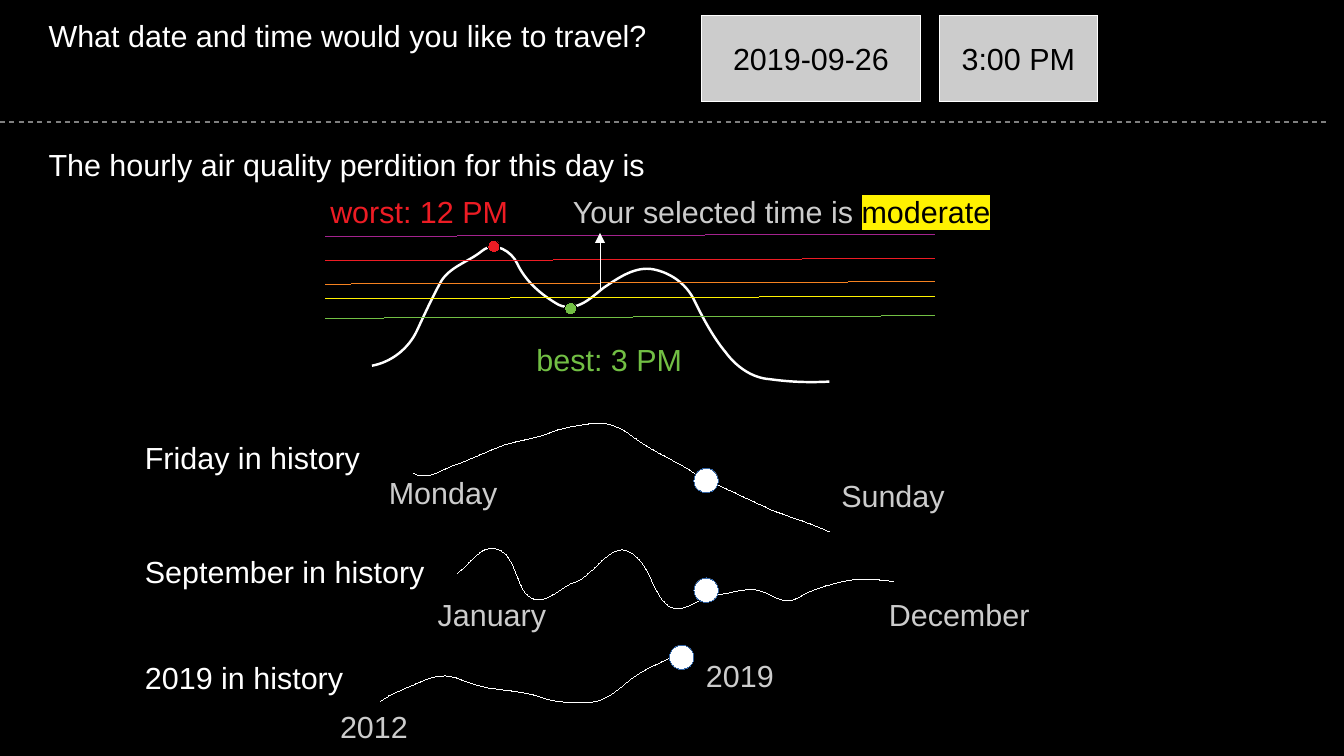
from dataclasses import dataclass

from lxml import etree
from pptx import Presentation
from pptx import util as u
from pptx.dml.color import RGBColor
from pptx.enum import shapes, text
from pptx.oxml.ns import qn


@dataclass(frozen=True)
class Theme:
    font: str = "Arial"
    size: float = 18
    hair: float = 0
    bold: float = 1.45
    black: str = "000000"
    white: str = "FFFFFF"
    pale: str = "CCCCCC"
    gray: str = "808080"
    blue: str = "3465A4"
    red: str = "ED1C24"
    orange: str = "F58220"
    yellow: str = "FFF200"
    green: str = "72BF44"
    purple: str = "A3238E"


class Sketch:
    def __init__(self, slide, theme):
        self.slide, self.theme = slide, theme
        self.items = slide.shapes
        slide.background.fill.solid()
        slide.background.fill.fore_color.rgb = RGBColor.from_string(theme.black)

    def stroke(self, item, color, width):
        item.line.color.rgb = RGBColor.from_string(color)
        # A zero width must be written out, or the style's width applies
        edge = item.line._get_or_add_ln()
        edge.set("w", str(u.Pt(width)))
        return edge

    def style(self, run, color):
        run.font.name = self.theme.font
        run.font.size = u.Pt(self.theme.size)
        run.font.color.rgb = RGBColor.from_string(color)

    def label(self, words, x, y, w, h, color):
        box = self.items.add_textbox(*map(u.Inches, (x, y, w, h)))
        frame = box.text_frame
        frame.text = words
        frame.word_wrap = True
        self.style(frame.paragraphs[0].runs[0], color)
        return frame.paragraphs[0]

    def mark(self, para, words, color, back):
        run = para.add_run()
        run.text = words
        self.style(run, color)
        glow = etree.Element(qn("a:highlight"))
        etree.SubElement(glow, qn("a:srgbClr"), val=back)
        run.font._element.find(qn("a:solidFill")).addnext(glow)

    def shape(self, kind, x, y, w, h, fill, edge):
        item = self.items.add_shape(kind, *map(u.Inches, (x, y, w, h)))
        item.shadow.inherit = False
        item.fill.solid()
        item.fill.fore_color.rgb = RGBColor.from_string(fill)
        self.stroke(item, edge, self.theme.hair)
        return item

    def dot(self, x, y, size, fill, edge):
        self.shape(shapes.MSO_SHAPE.OVAL, x, y, size, size, fill, edge)

    def field(self, words, x, w):
        item = self.shape(shapes.MSO_SHAPE.RECTANGLE, x, 0.13, w, 0.7,
                          self.theme.pale, self.theme.white)
        frame = item.text_frame
        frame.text = words
        frame.word_wrap = False
        frame.vertical_anchor = text.MSO_ANCHOR.MIDDLE
        frame.paragraphs[0].alignment = text.PP_ALIGN.CENTER
        self.style(frame.paragraphs[0].runs[0], self.theme.black)

    def line(self, x1, y1, x2, y2, color, width=0):
        item = self.items.add_connector(
            shapes.MSO_CONNECTOR.STRAIGHT, *map(u.Inches, (x1, y1, x2, y2)))
        edge = self.stroke(item, color, width)
        etree.SubElement(item._element.spPr, qn("a:effectLst"))
        return edge

    def arrow(self, x1, y1, x2, y2, color):
        edge = self.line(x1, y1, x2, y2, color)
        etree.SubElement(edge, qn("a:headEnd"), type="triangle")

    def dash(self, x1, y1, x2, y2, color, width):
        edge = self.line(x1, y1, x2, y2, color, width)
        gaps = etree.SubElement(edge, qn("a:custDash"))
        etree.SubElement(gaps, qn("a:ds"), d="200000", sp="180000")

    def curve(self, start, bends, width):
        """Each bend holds two control points and an end point."""
        pen = self.items.build_freeform(*map(u.Inches, start))
        pen.add_line_segments(
            [tuple(map(u.Inches, bend[4:])) for bend in bends], close=False)
        item = pen.convert_to_shape()
        item.shadow.inherit = False
        item.fill.background()
        self.stroke(item, self.theme.white, width)
        steps = list(item._element.iter(qn("a:lnTo")))
        for step, bend in zip(steps, bends):
            arc = etree.Element(qn("a:cubicBezTo"))
            for x, y in zip(bend[::2], bend[1::2]):
                etree.SubElement(arc, qn("a:pt"), x=str(u.Inches(x) - item.left),
                                 y=str(u.Inches(y) - item.top))
            step.getparent().replace(step, arc)


HOURLY = (3.05, 3), [
    (3.21, 2.97, 3.35, 2.86, 3.42, 2.71), (3.48, 2.58, 3.54, 2.45, 3.61, 2.32),
    (3.68, 2.19, 3.84, 2.15, 3.95, 2.06), (4.06, 1.97, 4.2, 2.07, 4.24, 2.16),
    (4.31, 2.31, 4.44, 2.42, 4.58, 2.5), (4.73, 2.57, 4.86, 2.43, 4.95, 2.36),
    (5.07, 2.28, 5.21, 2.18, 5.36, 2.21), (5.51, 2.24, 5.64, 2.34, 5.7, 2.48),
    (5.77, 2.62, 5.85, 2.77, 5.95, 2.89), (6.03, 3, 6.16, 3.1, 6.31, 3.11),
    (6.46, 3.13, 6.6, 3.14, 6.8, 3.13)]
WEEK = (3.39, 3.88), [
    (3.51, 3.95, 3.63, 3.84, 3.74, 3.81), (3.87, 3.76, 4, 3.7, 4.13, 3.65),
    (4.26, 3.61, 4.39, 3.6, 4.53, 3.54), (4.64, 3.5, 4.75, 3.49, 4.87, 3.47),
    (4.99, 3.46, 5.1, 3.51, 5.19, 3.58), (5.33, 3.69, 5.5, 3.76, 5.65, 3.85),
    (5.74, 3.92, 5.85, 3.96, 5.96, 4.01), (6.08, 4.07, 6.2, 4.12, 6.32, 4.18),
    (6.44, 4.23, 6.57, 4.26, 6.8, 4.36)]
YEAR = (3.75, 4.7), [
    (3.85, 4.63, 3.94, 4.47, 4.06, 4.5), (4.21, 4.53, 4.22, 4.73, 4.3, 4.85),
    (4.43, 5.03, 4.59, 4.81, 4.7, 4.78), (4.87, 4.73, 5, 4.43, 5.17, 4.53),
    (5.33, 4.62, 5.34, 4.84, 5.47, 4.96), (5.59, 5.06, 5.74, 4.89, 5.87, 4.88),
    (5.99, 4.87, 6.1, 4.82, 6.21, 4.84), (6.33, 4.86, 6.42, 4.98, 6.55, 4.9),
    (6.66, 4.83, 6.79, 4.8, 6.91, 4.77), (7.03, 4.74, 7.16, 4.75, 7.33, 4.77)]
DECADE = (3.12, 5.75), [
    (3.21, 5.69, 3.31, 5.65, 3.41, 5.61), (3.51, 5.56, 3.63, 5.52, 3.74, 5.56),
    (3.85, 5.6, 3.95, 5.64, 4.06, 5.65), (4.2, 5.67, 4.34, 5.68, 4.47, 5.73),
    (4.59, 5.77, 4.72, 5.76, 4.84, 5.76), (4.97, 5.75, 5.07, 5.65, 5.16, 5.58),
    (5.27, 5.49, 5.41, 5.44, 5.57, 5.36)]


def main():
    deck = Presentation()
    deck.slide_width, deck.slide_height = u.Inches(11.02), u.Inches(6.2)
    look = Theme()
    page = Sketch(deck.slides.add_slide(deck.slide_layouts[6]), look)

    # Travel question and its two fields
    page.label("What date and time would you like to travel?",
               0.3, 0.09, 5.3, 0.46, look.white)
    page.field("2019-09-26", 5.75, 1.8)
    page.field("3:00 PM", 7.7, 1.3)
    page.dash(0, 1, 10.9, 1, look.gray, look.bold)

    # Hourly forecast over the quality bands
    page.label("The hourly air quality perdition for this day is",
               0.3, 1.15, 5.3, 0.46, look.white)
    page.curve(*HOURLY, look.bold)
    bands = [(1.94, look.purple), (2.14, look.red), (2.33, look.orange),
             (2.45, look.yellow), (2.61, look.green)]
    for y, color in bands:
        page.line(2.67, y, 7.66, y - 0.02, color)
    page.dot(4, 1.97, 0.1, look.red, look.black)
    page.dot(4.63, 2.48, 0.1, look.green, look.black)
    page.label("worst: 12 PM", 2.61, 1.53, 1.8, 0.38, look.red)
    page.label("best: 3 PM", 4.3, 2.75, 1.55, 0.38, look.green)
    page.arrow(4.92, 1.91, 4.92, 2.39, look.white)
    note = page.label("Your selected time is ", 4.6, 1.53, 4.2, 0.38, look.pale)
    page.mark(note, "moderate", look.black, look.yellow)

    # History rows: title, top, curve, dot place, end labels (words, x, y, width)
    rows = [
        ("Friday in history", 3.55, WEEK, (5.69, 3.84),
         [("Monday", 3.09, 3.84, 1.25), ("Sunday", 6.8, 3.86, 1.2)]),
        ("September in history", 4.49, YEAR, (5.69, 4.74),
         [("January", 3.49, 4.84, 1.25), ("December", 7.19, 4.84, 1.5)]),
        ("2019 in history", 5.36, DECADE, (5.49, 5.29),
         [("2012", 2.69, 5.76, 0.9), ("2019", 5.69, 5.34, 0.9)]),
    ]
    for title, top, trend, spot, ends in rows:
        page.label(title, 1.09, top, 4.9, 0.4, look.white)
        page.curve(*trend, look.hair)
        page.dot(*spot, 0.2, look.white, look.blue)
        for words, x, y, w in ends:
            page.label(words, x, y, w, 0.38, look.pale)

    deck.save("out.pptx")


if __name__ == "__main__":
    main()
